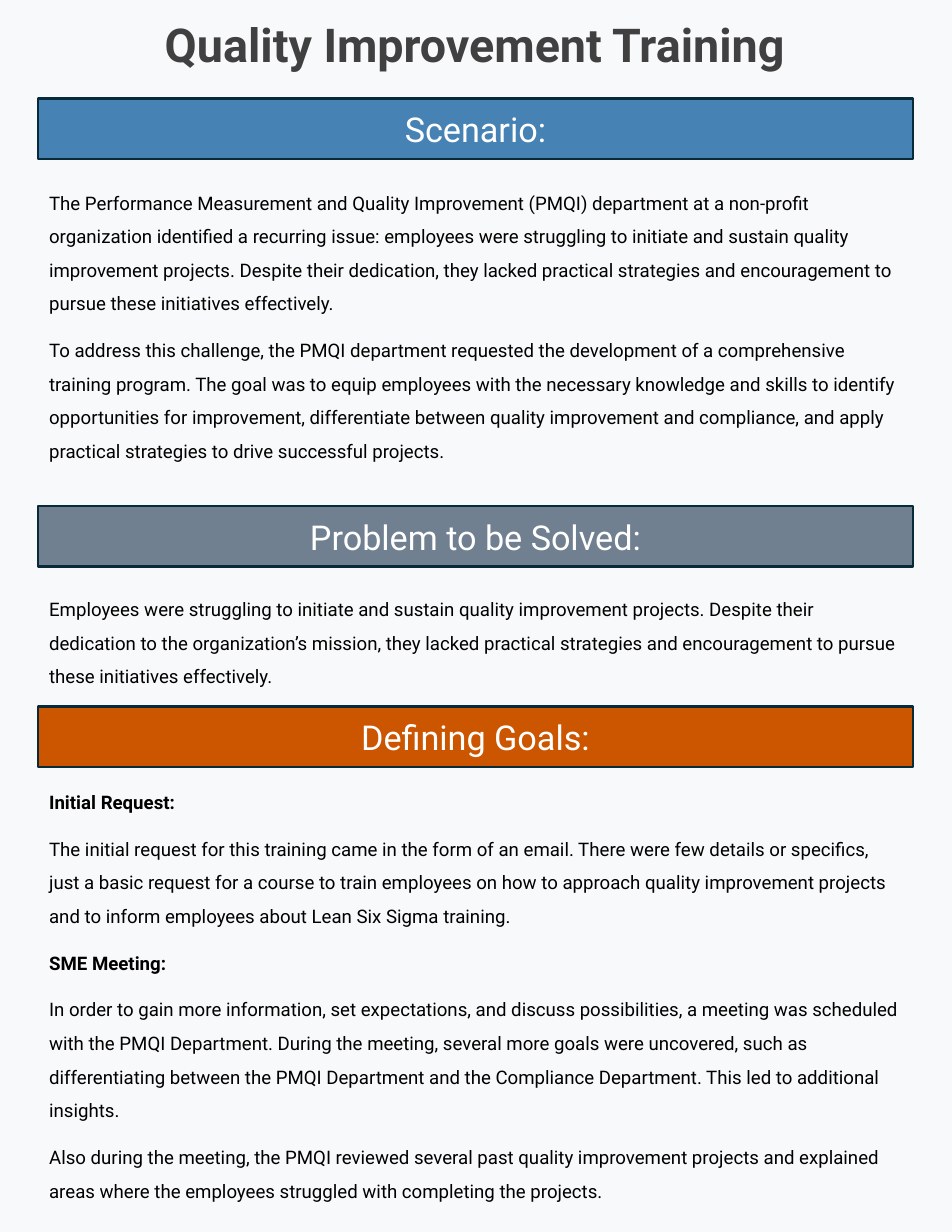
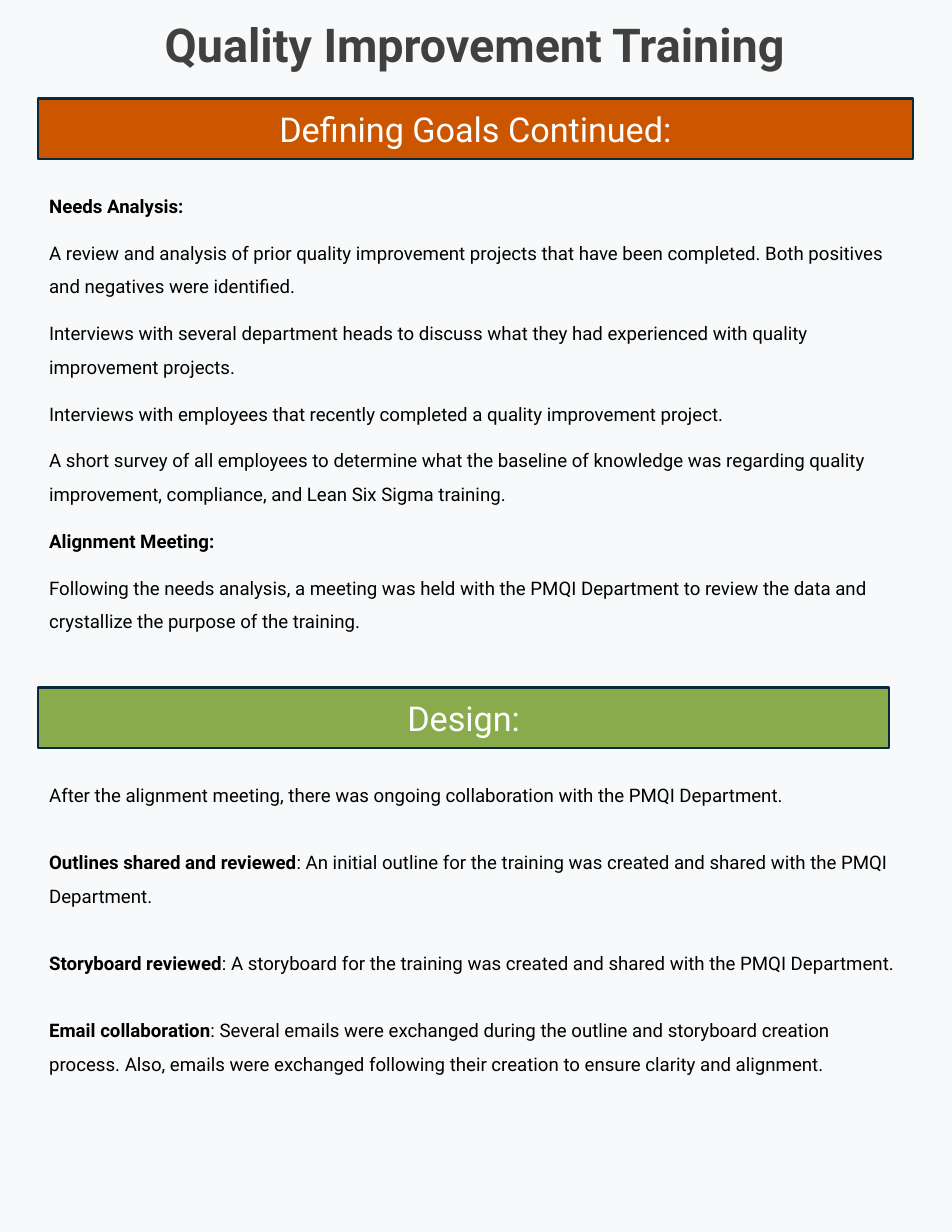
from dataclasses import dataclass

from pptx import Presentation
from pptx.dml.color import RGBColor
from pptx.enum.shapes import MSO_SHAPE
from pptx.enum.text import MSO_ANCHOR, PP_ALIGN
from pptx.util import Inches, Pt

RECTANGLE = MSO_SHAPE.RECTANGLE
CENTER, LEFT = PP_ALIGN.CENTER, PP_ALIGN.LEFT
TOP, MIDDLE, BOTTOM = MSO_ANCHOR.TOP, MSO_ANCHOR.MIDDLE, MSO_ANCHOR.BOTTOM
BLANK_LAYOUT = 6


@dataclass(frozen=True)
class Theme:
    font: str = "Roboto"
    background: str = "F8F9FA"
    title: str = "404040"
    body: str = "000000"
    heading: str = "FFFFFF"
    outline: str = "092A39"
    scenario: str = "4682B4"
    problem: str = "708090"
    goals: str = "CC5500"
    design: str = "89AB4B"
    title_size: int = 30
    heading_size: int = 22
    body_size: int = 12
    body_gap: float = 8.5
    item_gap: float = 21.6  # one full body line


THEME = Theme()
MARGIN = 0.34
COLUMN_WIDTH = 7.81
BAND_HEIGHT = 0.54
FIRST_BAND_TOP = 0.88

TITLE = "Quality Improvement Training"

# Body text: each paragraph is a (bold lead, plain text) pair
SCENARIO = [
    ("", "The Performance Measurement and Quality Improvement (PMQI) department at a "
         "non-profit organization identified a recurring issue: employees were struggling "
         "to initiate and sustain quality improvement projects. Despite their dedication, "
         "they lacked practical strategies and encouragement to pursue these initiatives "
         "effectively."),
    ("", "To address this challenge, the PMQI department requested the development of a "
         "comprehensive training program. The goal was to equip employees with the "
         "necessary knowledge and skills to identify opportunities for improvement, "
         "differentiate between quality improvement and compliance, and apply practical "
         "strategies to drive successful projects."),
]
PROBLEM = [
    ("", "Employees were struggling to initiate and sustain quality improvement projects. "
         "Despite their dedication to the organization’s mission, they lacked practical "
         "strategies and encouragement to pursue these initiatives effectively."),
]
GOALS = [
    ("Initial Request:", ""),
    ("", "The initial request for this training came in the form of an email. There were "
         "few details or specifics, just a basic request for a course to train employees "
         "on how to approach quality improvement projects and to inform employees about "
         "Lean Six Sigma training."),
    ("SME Meeting:", ""),
    ("", "In order to gain more information, set expectations, and discuss possibilities, "
         "a meeting was scheduled with the PMQI Department. During the meeting, several "
         "more goals were uncovered, such as differentiating between the PMQI Department "
         "and the Compliance Department. This led to additional insights."),
    ("", "Also during the meeting, the PMQI reviewed several past quality improvement "
         "projects and explained areas where the employees struggled with completing the "
         "projects."),
]
GOALS_CONTINUED = [
    ("Needs Analysis:", ""),
    ("", "A review and analysis of prior quality improvement projects that have been "
         "completed. Both positives and negatives were identified."),
    ("", "Interviews with several department heads to discuss what they had experienced "
         "with quality improvement projects."),
    ("", "Interviews with employees that recently completed a quality improvement project."),
    ("", "A short survey of all employees to determine what the baseline of knowledge was "
         "regarding quality improvement, compliance, and Lean Six Sigma training."),
    ("Alignment Meeting:", ""),
    ("", "Following the needs analysis, a meeting was held with the PMQI Department to "
         "review the data and crystallize the purpose of the training."),
]
DESIGN = [
    ("", "After the alignment meeting, there was ongoing collaboration with the PMQI "
         "Department."),
    ("Outlines shared and reviewed", ": An initial outline for the training was created "
                                     "and shared with the PMQI Department."),
    ("Storyboard reviewed", ": A storyboard for the training was created and shared with "
                            "the PMQI Department."),
    ("Email collaboration", ": Several emails were exchanged during the outline and "
                            "storyboard creation process. Also, emails were exchanged "
                            "following their creation to ensure clarity and alignment."),
]


def apply_format(target, values):
    for name, value in values.items():
        setattr(target, name, value)


def add_run(paragraph, text, size, color, bold=False):
    run = paragraph.add_run()
    run.text = text
    apply_format(run.font, {"name": THEME.font, "size": Pt(size), "bold": bold})
    run.font.color.rgb = RGBColor.from_string(color)


def add_text_box(slide, left, top, width, height, anchor=TOP):
    box = slide.shapes.add_textbox(Inches(left), Inches(top), Inches(width), Inches(height))
    apply_format(box.text_frame, {"word_wrap": True, "vertical_anchor": anchor})
    return box.text_frame


def add_title(slide):
    frame = add_text_box(slide, 0.18, 0.18, 8.12, 0.52, BOTTOM)
    paragraph = frame.paragraphs[0]
    apply_format(paragraph, {"alignment": CENTER, "line_spacing": 0.9})
    add_run(paragraph, TITLE, THEME.title_size, THEME.title, bold=True)


def add_band(slide, text, top, color, width=COLUMN_WIDTH):
    band = slide.shapes.add_shape(
        RECTANGLE, Inches(MARGIN), Inches(top), Inches(width), Inches(BAND_HEIGHT))
    band.shadow.inherit = False
    band.fill.solid()
    band.fill.fore_color.rgb = RGBColor.from_string(color)
    band.line.color.rgb = RGBColor.from_string(THEME.outline)
    band.line.width = Pt(1.5)
    apply_format(band.text_frame, {"word_wrap": True, "vertical_anchor": MIDDLE})
    paragraph = band.text_frame.paragraphs[0]
    paragraph.alignment = CENTER
    add_run(paragraph, text, THEME.heading_size, THEME.heading)


def add_body(slide, paragraphs, top, height, gap=THEME.body_gap):
    frame = add_text_box(slide, MARGIN, top, COLUMN_WIDTH, height)
    for index, (lead, text) in enumerate(paragraphs):
        paragraph = frame.add_paragraph() if index else frame.paragraphs[0]
        apply_format(paragraph, {
            "alignment": LEFT, "line_spacing": 1.5, "space_before": Pt(gap if index else 0)})
        for part, bold in ((lead, True), (text, False)):
            if part:
                add_run(paragraph, part, THEME.body_size, THEME.body, bold)


def add_page(presentation):
    slide = presentation.slides.add_slide(presentation.slide_layouts[BLANK_LAYOUT])
    slide.background.fill.solid()
    slide.background.fill.fore_color.rgb = RGBColor.from_string(THEME.background)
    add_title(slide)
    return slide


def main():
    presentation = Presentation()
    apply_format(presentation, {"slide_width": Inches(8.5), "slide_height": Inches(11)})

    # Scenario, problem and goals
    slide = add_page(presentation)
    add_band(slide, "Scenario:", FIRST_BAND_TOP, THEME.scenario)
    add_body(slide, SCENARIO, 1.56, 2.66)
    add_band(slide, "Problem to be Solved:", 4.52, THEME.problem)
    add_body(slide, PROBLEM, 5.19, 1.06)
    add_band(slide, "Defining Goals:", 6.31, THEME.goals)
    add_body(slide, GOALS, 6.91, 3.14)

    # Goals continued and design
    slide = add_page(presentation)
    add_band(slide, "Defining Goals Continued:", FIRST_BAND_TOP, THEME.goals)
    add_body(slide, GOALS_CONTINUED, 1.59, 4.38)
    add_band(slide, "Design:", 6.14, THEME.design, width=7.6)
    add_body(slide, DESIGN, 6.85, 3.05, THEME.item_gap)

    presentation.save("out.pptx")


if __name__ == "__main__":
    main()
